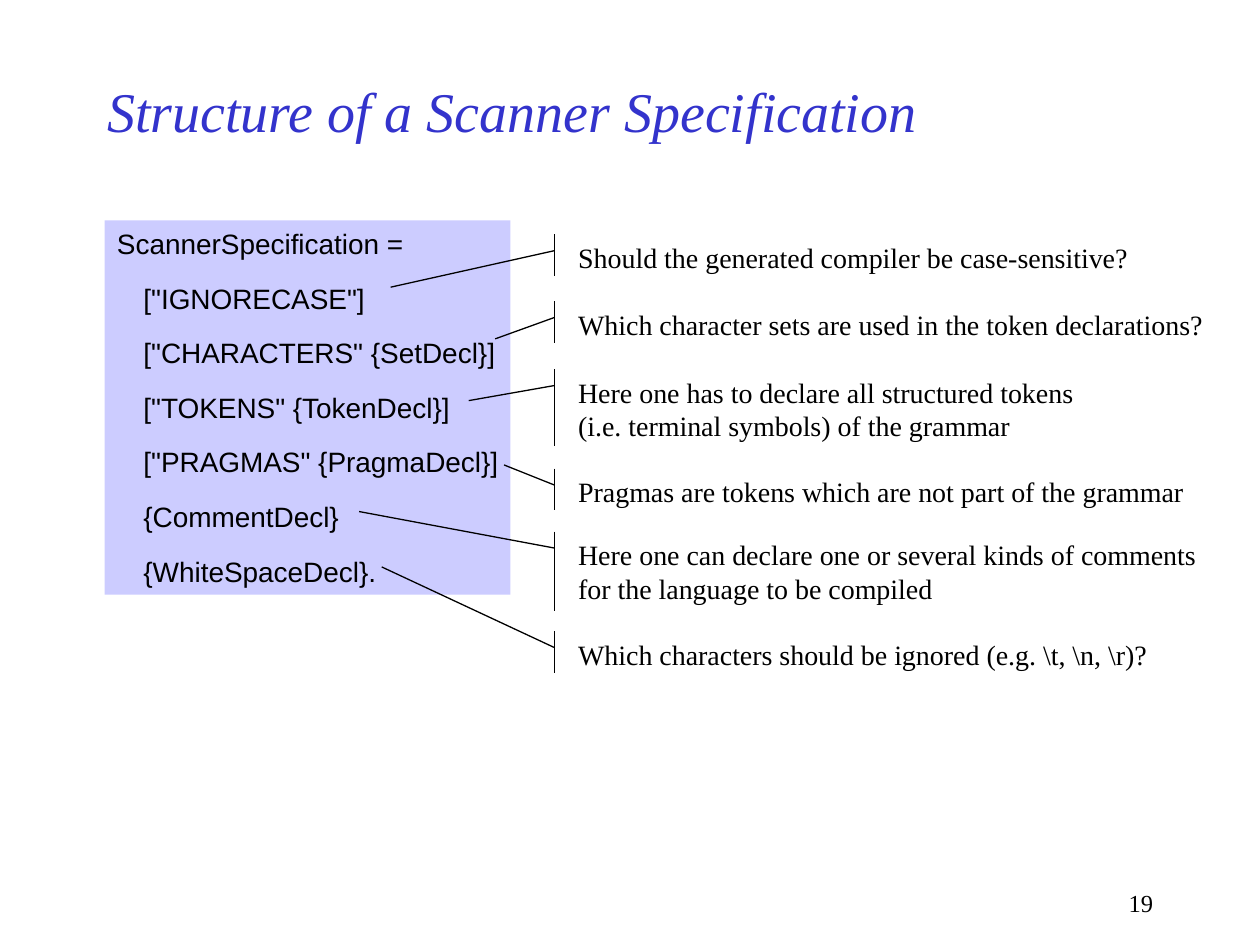
from dataclasses import dataclass

from pptx import Presentation
from pptx import util as u
from pptx.dml.color import RGBColor
from pptx.enum import shapes, text


@dataclass(frozen=True)
class Theme:
    serif: str = "Times New Roman"
    sans: str = "Arial"
    title_color: str = "3333CC"
    ink: str = "000000"
    panel: str = "CCCCFF"
    title_size: int = 32
    body_size: int = 16
    number_size: int = 14
    line_width: float = 0.75


GRAMMAR = [
    "ScannerSpecification =",
    '["IGNORECASE"]',
    '["CHARACTERS" {SetDecl}]',
    '["TOKENS" {TokenDecl}]',
    '["PRAGMAS" {PragmaDecl}]',
    "{CommentDecl}",
    "{WhiteSpaceDecl}.",
]

NOTE_LEFT, BAR_LEFT, JOIN_DROP = 4.49, 4.4, 0.13

NOTES = [
    (1.86, 4.61, 0.33, (3.1, 2.28), ["Should the generated compiler be case-sensitive?"]),
    (2.39, 5.33, 0.33, (3.93, 2.69), ["Which character sets are used in the token declarations?"]),
    (2.93, 5.33, 0.61, (3.72, 3.18), ["Here one has to declare all structured tokens",
                                      "(i.e. terminal symbols) of the grammar"]),
    (3.72, 5.33, 0.33, (4, 3.69), ["Pragmas are tokens which are not part of the grammar"]),
    (4.22, 5.33, 0.63, (2.85, 4.06), ["Here one can declare one or several kinds of comments",
                                      "for the language to be compiled"]),
    (5.01, 5.33, 0.33, (3.03, 4.5), [r"Which characters should be ignored (e.g. \t, \n, \r)?"]),
]


def write(box, lines, font, size, color, italic=False, align=text.PP_ALIGN.LEFT,
          anchor=text.MSO_ANCHOR.TOP, gap=0, indent=0):
    frame = box.text_frame
    frame.word_wrap = True
    frame.vertical_anchor = anchor
    for index, line in enumerate(lines):
        para = frame.add_paragraph() if index else frame.paragraphs[0]
        para.alignment = align
        if index:
            para.space_before = u.Pt(gap)
            if indent:
                para._p.get_or_add_pPr().set("marL", str(u.Inches(indent)))
        span = para.add_run()
        span.text = line
        span.font.name = font
        span.font.size = u.Pt(size)
        span.font.italic = italic
        span.font.color.rgb = RGBColor.from_string(color)


class SlideBuilder:
    def __init__(self, page, theme):
        self.page = page
        self.theme = theme

    def title(self, words, *place):
        box = self.page.shapes.title
        box.left, box.top, box.width, box.height = map(u.Inches, place)
        write(box, [words], self.theme.serif, self.theme.title_size,
              self.theme.title_color, italic=True, anchor=text.MSO_ANCHOR.MIDDLE)

    def shape(self, kind, *place):
        box = self.page.shapes.add_shape(kind, *map(u.Inches, place))
        box.shadow.inherit = False
        return box

    def grammar_panel(self, lines, *place):
        box = self.shape(shapes.MSO_SHAPE.RECTANGLE, *place)
        box.fill.solid()
        box.fill.fore_color.rgb = RGBColor.from_string(self.theme.panel)
        box.line.fill.background()
        write(box, lines, self.theme.sans, self.theme.body_size, self.theme.ink,
              gap=12, indent=0.21)
        box.text_frame.margin_right = 0
        box.text_frame.auto_size = text.MSO_AUTO_SIZE.SHAPE_TO_FIT_TEXT

    def note(self, top, width, height, target, lines):
        box = self.shape(shapes.MSO_SHAPE.LINE_CALLOUT_1_ACCENT_BAR,
                         NOTE_LEFT, top, width, height)
        target_left, target_top = target
        box.adjustments[0] = JOIN_DROP / height
        box.adjustments[1] = (BAR_LEFT - NOTE_LEFT) / width
        box.adjustments[2] = (target_top - top) / height
        box.adjustments[3] = (target_left - NOTE_LEFT) / width
        box.fill.background()
        box.line.color.rgb = RGBColor.from_string(self.theme.ink)
        box.line.width = u.Pt(self.theme.line_width)
        write(box, lines, self.theme.serif, self.theme.body_size, self.theme.ink)

    def page_number(self, words, *place):
        box = self.page.shapes.add_textbox(*map(u.Inches, place))
        write(box, [words], self.theme.serif, self.theme.number_size,
              self.theme.ink, align=text.PP_ALIGN.RIGHT)


def main():
    deck = Presentation()
    deck.slide_width, deck.slide_height = u.Inches(10), u.Inches(7.5)
    builder = SlideBuilder(deck.slides.add_slide(deck.slide_layouts[5]), Theme())
    builder.title("Structure of a Scanner Specification", 0.75, 0.5, 7.5, 0.75)
    builder.grammar_panel(GRAMMAR, 0.83, 1.75, 3.22, 2.97)
    for note in NOTES:
        builder.note(*note)
    builder.page_number("19", 7.17, 7, 2.08, 0.33)
    deck.save("out.pptx")


if __name__ == "__main__":
    main()
